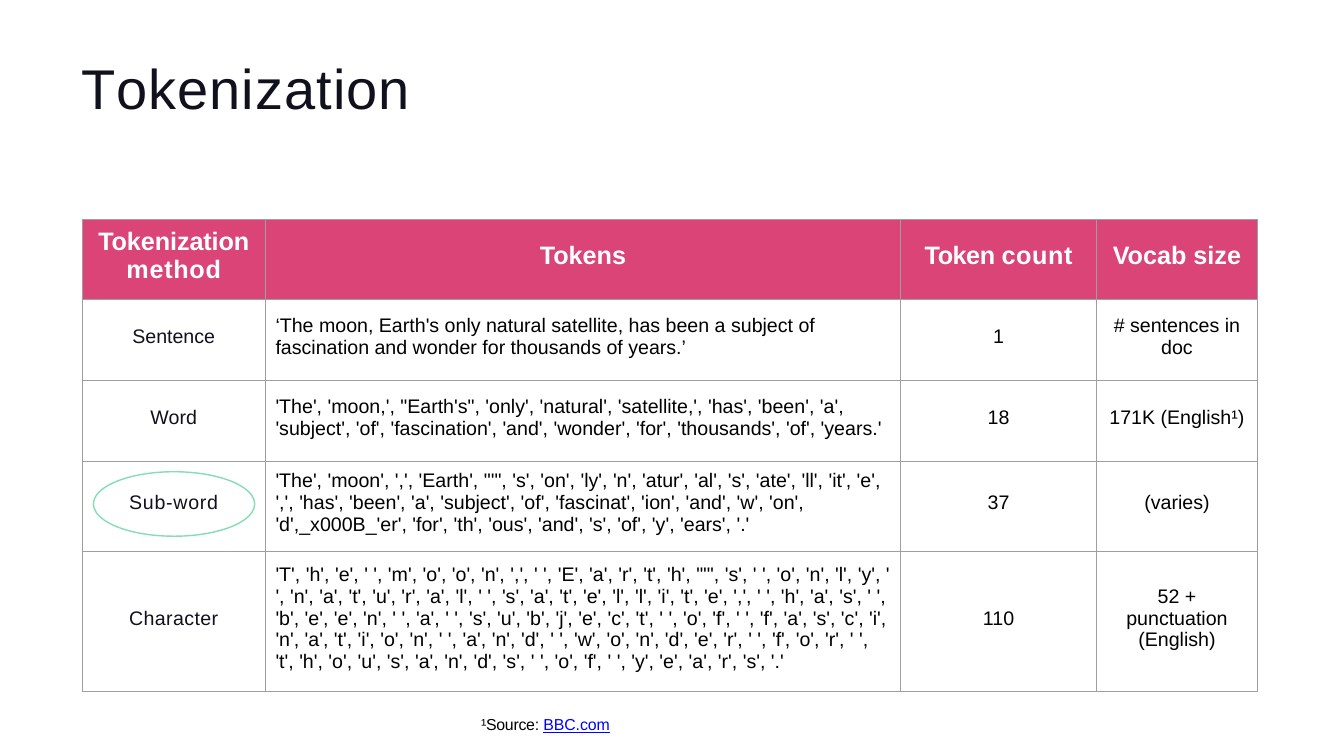
from lxml import etree
from pptx import Presentation
from pptx.dml.color import RGBColor
from pptx.enum.shapes import MSO_SHAPE
from pptx.enum.text import MSO_ANCHOR, PP_ALIGN
from pptx.oxml.ns import qn
from pptx.util import Inches, Pt

LEFT, CENTER = PP_ALIGN.LEFT, PP_ALIGN.CENTER
TOP, MIDDLE = MSO_ANCHOR.TOP, MSO_ANCHOR.MIDDLE
OVAL = MSO_SHAPE.OVAL
INK, BLACK, WHITE = "10111D", "000000", "FFFFFF"
PINK, GREEN, GREY, BLUE = "DA4477", "85DDB5", "9E9E9E", "0000FF"


def color(hex_string):
    return RGBColor.from_string(hex_string)


def add_text(tf, paragraphs, size=21, ink=BLACK, bold=False, align=LEFT):
    """Each paragraph is a string or a list of (text, letter spacing in points)."""
    for i, runs in enumerate(paragraphs):
        p = tf.paragraphs[0] if i == 0 else tf.add_paragraph()
        p.alignment = align
        for text, spacing in [(runs, 0)] if isinstance(runs, str) else runs:
            r = p.add_run()
            r.text = text
            r.font.name, r.font.size, r.font.bold = "Arial", Pt(size), bold
            r.font.color.rgb = color(ink)
            r._r.get_or_add_rPr().set("spc", str(round(spacing * 100)))


prs = Presentation()
prs.slide_width, prs.slide_height = Inches(20), Inches(11.25)
s = prs.slides.add_slide(prs.slide_layouts[5])
left = Inches(1.22)

# Title
sp = s.shapes.title
sp.left, sp.top, sp.width, sp.height = left, Inches(0.67), Inches(17.57), Inches(1.8)
tf = sp.text_frame
tf.margin_left = tf.margin_right = tf.margin_bottom = 0
tf.margin_top = Inches(0.13)
tf.vertical_anchor = TOP
add_text(tf, [[("T", -4.4), ("okenization", 1.2)]], size=60, ink=INK)

# Table: each cell is a list of paragraphs
rows = [
    [[[("Tokenization ", -0.1), ("method", 0.8)]],
     ["Tokens"],
     [[("Token ", -0.5), ("count", 0.6)]],
     ["Vocab size"]],
    [["Sentence"],
     ["‘The moon, Earth's only natural satellite, has been a subject of "
      "fascination and wonder for thousands of years.’"],
     ["1"],
     ["# sentences in doc"]],
    [["Word"],
     ["""'The', 'moon,', "Earth's", 'only', 'natural', 'satellite,', 'has', 'been', 'a',""",
      "'subject', 'of', 'fascination', 'and', 'wonder', 'for', 'thousands', 'of', 'years.'"],
     ["18"],
     ["171K (English¹)"]],
    [[[("Sub-word", 0.8)]],
     ["""'The', 'moon', ',', 'Earth', "'", 's', 'on', 'ly', 'n', 'atur', 'al', 's', 'ate', 'll', 'it', 'e',""",
      "',', 'has', 'been', 'a', 'subject', 'of', 'fascinat', 'ion', 'and', 'w', 'on', 'd',\v"
      "'er', 'for', 'th', 'ous', 'and', 's', 'of', 'y', 'ears', '.'"],
     ["37"],
     ["(varies)"]],
    [[[("Character", 0.4)]],
     ["""'T', 'h', 'e', ' ', 'm', 'o', 'o', 'n', ',', ' ', 'E', 'a', 'r', 't', 'h', "'", 's', ' ', 'o', 'n', 'l', 'y', '""",
      "', 'n', 'a', 't', 'u', 'r', 'a', 'l', ' ', 's', 'a', 't', 'e', 'l', 'l', 'i', 't', 'e', ',', ' ', 'h', 'a', 's', ' ',",
      "'b', 'e', 'e', 'n', ' ', 'a', ' ', 's', 'u', 'b', 'j', 'e', 'c', 't', ' ', 'o', 'f', ' ', 'f', 'a', 's', 'c', 'i',",
      "'n', 'a', 't', 'i', 'o', 'n', ' ', 'a', 'n', 'd', ' ', 'w', 'o', 'n', 'd', 'e', 'r', ' ', 'f', 'o', 'r', ' ',",
      "'t', 'h', 'o', 'u', 's', 'a', 'n', 'd', 's', ' ', 'o', 'f', ' ', 'y', 'e', 'a', 'r', 's', '.'"],
     ["110"],
     ["52 +", "punctuation (English)"]],
]
widths = [2.73, 9.45, 2.92, 2.39]
heights = [1.2, 1.2, 1.2, 1.35, 2.08]
table = s.shapes.add_table(len(rows), len(widths), left, Inches(3.26),
                           Inches(sum(widths)), Inches(sum(heights))).table
table.first_row = table.horz_banding = False
for column, width in zip(table.columns, widths):
    column.width = Inches(width)
for row, height in zip(table.rows, heights):
    row.height = Inches(height)

for i, row in enumerate(rows):
    for j, paragraphs in enumerate(row):
        cell = table.cell(i, j)
        header, tokens = i == 0, i > 0 and j == 1
        cell.vertical_anchor = MIDDLE
        cell.margin_left = Inches(0.15 if tokens else 0.1)
        cell.margin_right = Inches(0 if tokens else 0.1)
        cell.margin_top, cell.margin_bottom = 0, Inches(0.1)
        add_text(cell.text_frame, paragraphs, size=27 if header else 21,
                 ink=WHITE if header else INK if j == 0 else BLACK,
                 bold=header, align=LEFT if tokens else CENTER)
        # Borders come before the fill in the cell properties
        tcPr = cell._tc.get_or_add_tcPr()
        for side in ("a:lnL", "a:lnR", "a:lnT", "a:lnB"):
            ln = etree.SubElement(tcPr, qn(side), w=str(Pt(0.75)))
            fill = etree.SubElement(ln, qn("a:solidFill"))
            etree.SubElement(fill, qn("a:srgbClr"), val=GREY)
        if header:
            cell.fill.solid()
            cell.fill.fore_color.rgb = color(PINK)
        else:
            cell.fill.background()

# Ring around the sub-word method
sp = s.shapes.add_shape(OVAL, Inches(1.39), Inches(7.02), Inches(2.4), Inches(0.96))
sp.shadow.inherit = False
sp.fill.background()
sp.line.color.rgb = color(GREEN)
sp.line.width = Pt(1.5)

# Source note
tf = s.shapes.add_textbox(Inches(7.16), Inches(10.62), Inches(2.2), Inches(0.31)).text_frame
tf.word_wrap = True
tf.margin_left = tf.margin_right = tf.margin_bottom = 0
tf.margin_top = Inches(0.02)
add_text(tf, [[("¹Source: ", -0.3), ("BBC.com", -0.1)]], size=17)
r = tf.paragraphs[0].runs[1]
r.font.color.rgb = color(BLUE)
r.font.underline = True

prs.save("out.pptx")
